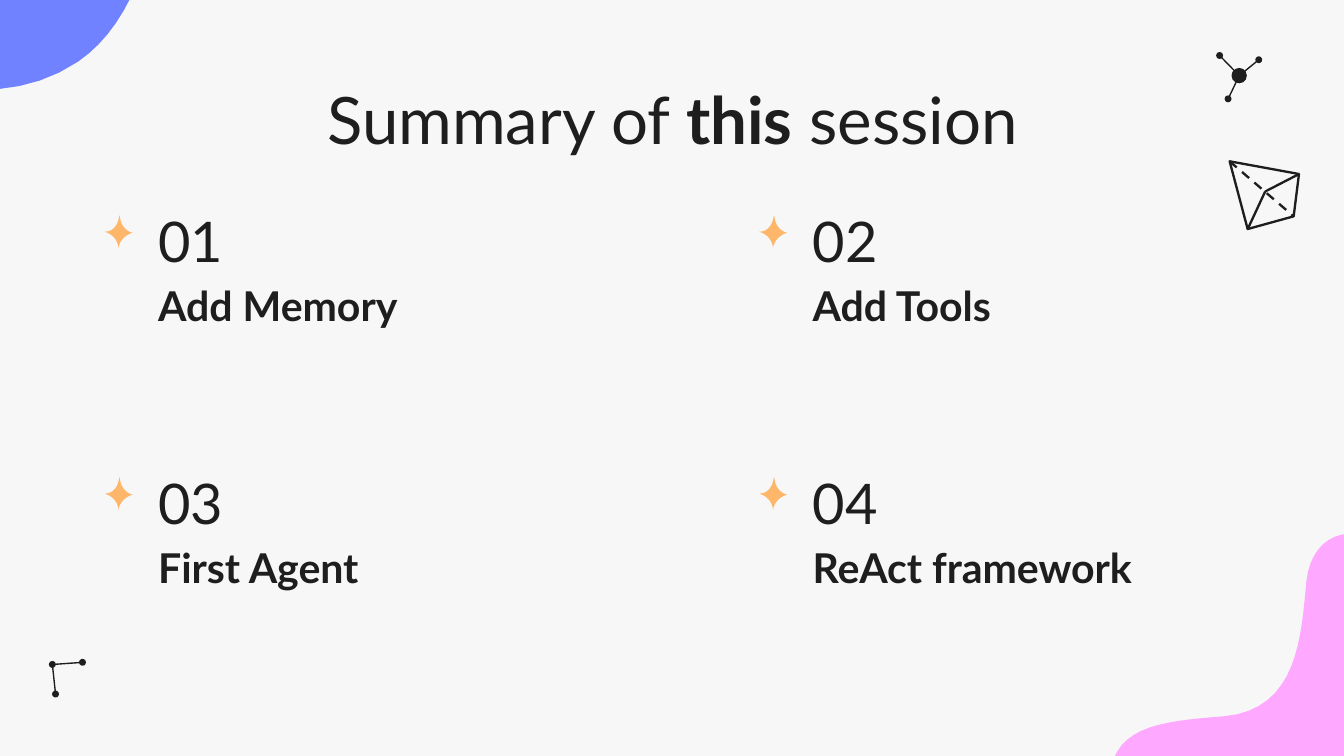
from dataclasses import dataclass

import lxml.etree
import pptx
import pptx.dml.color
import pptx.enum.dml
import pptx.enum.shapes
import pptx.enum.text
import pptx.oxml.ns
import pptx.shapes.autoshape
import pptx.slide
import pptx.text.text
import pptx.util

Cm = pptx.util.Cm
Anchor = pptx.enum.text.MSO_ANCHOR
Point = tuple[float, float]
Curve = tuple[Point, Point, Point]


@dataclass(frozen=True)
class Theme:
    font: str = "Lato"
    background: str = "F7F7F7"
    ink: str = "1F1E1E"
    star: str = "FEB66B"
    pink: str = "FFA8FF"
    blue: str = "7082FF"
    title_size: float = 35
    number_size: float = 30
    topic_size: float = 22


@dataclass(frozen=True)
class Topic:
    number: str
    name: str


@dataclass(frozen=True)
class Node:
    centre: Point
    diameter: float = 0.13


THEME = Theme()
TOPICS = [
    Topic("01", "Add Memory"),
    Topic("02", "Add Tools"),
    Topic("03", "First Agent"),
    Topic("04", "ReAct framework"),
]
COLUMN_STEP, ROW_STEP = 12.37, 4.95

# Outlines: a start point, then Bezier curves (two controls and an end), in cm
BLOB_START: Point = (27.53, 12.98)
BLOB_CURVES: list[Curve] = [
    ((27.48, 11.99), (27.18, 11.07), (26.64, 10.59)),
    ((25.7, 9.75), (24.79, 10.01), (24.69, 11)),
    ((24.59, 12.01), (24.54, 13.41), (23.14, 13.54)),
    ((21.89, 13.64), (20.9, 13.72), (20.98, 14.94)),
    ((20.98, 15.11), (21.01, 15.32), (21.08, 15.54)),
    ((21.51, 17.22), (24.18, 18.29), (26.01, 17.07)),
    ((27.13, 16.31), (27.64, 14.53), BLOB_START),
]
STAR_START: Point = (0.28, 0)
STAR_CURVES: list[Curve] = [
    ((0.3, 0.08), (0.3, 0.15), (0.36, 0.22)),
    ((0.41, 0.28), (0.46, 0.32), (0.53, 0.33)),
    ((0.41, 0.36), (0.28, 0.47), (0.26, 0.62)),
    ((0.25, 0.47), (0.15, 0.36), (0, 0.31)),
    ((0.08, 0.31), (0.15, 0.28), (0.2, 0.21)),
    ((0.25, 0.15), (0.26, 0.08), STAR_START),
]


def rgb(value: str) -> pptx.dml.color.RGBColor:
    return pptx.dml.color.RGBColor.from_string(value)


def trace(start: Point, curves: list[Curve], steps: int = 16) -> list[Point]:
    """Turn a chain of Bezier curves into closely spaced points."""
    points = [start]
    for curve in curves:
        corners = (points[-1], *curve)
        for step in range(1, steps + 1):
            t = step / steps
            weights = ((1 - t) ** 3, 3 * t * (1 - t) ** 2, 3 * t * t * (1 - t), t**3)
            points.append((
                sum(w * x for w, (x, _) in zip(weights, corners)),
                sum(w * y for w, (_, y) in zip(weights, corners)),
            ))
    return points


def add_outline(
    slide: pptx.slide.Slide, points: list[Point], offset: Point = (0, 0)
) -> pptx.shapes.autoshape.Shape:
    places = [(Cm(x + offset[0]), Cm(y + offset[1])) for x, y in points]
    builder = slide.shapes.build_freeform(*places[0])
    builder.add_line_segments(places[1:], close=True)
    outline = builder.convert_to_shape()
    outline.shadow.inherit = False
    return outline


def paint(shape: pptx.shapes.autoshape.Shape, color: str) -> None:
    shape.fill.solid()
    shape.fill.fore_color.rgb = rgb(color)
    shape.line.fill.background()


def add_edge(
    slide: pptx.slide.Slide, start: Point, end: Point, width: float, dashed: bool = False
) -> None:
    edge = slide.shapes.add_connector(
        pptx.enum.shapes.MSO_CONNECTOR.STRAIGHT, *map(Cm, (*start, *end))
    )
    edge.line.color.rgb = rgb(THEME.ink)
    edge.line.width = pptx.util.Pt(width)
    if dashed:
        edge.line.dash_style = pptx.enum.dml.MSO_LINE.SQUARE_DOT
        edge.line.dash_style = pptx.enum.dml.MSO_LINE.DASH
    lxml.etree.SubElement(edge._element.spPr, pptx.oxml.ns.qn("a:effectLst"))


def add_constellation(slide: pptx.slide.Slide, hub: Node, ends: list[Node]) -> None:
    for end in ends:
        add_edge(slide, hub.centre, end.centre, width=0.75)
    for node in (hub, *ends):
        x, y = node.centre
        size = Cm(node.diameter)
        dot = slide.shapes.add_shape(
            pptx.enum.shapes.MSO_SHAPE.OVAL,
            Cm(x - node.diameter / 2), Cm(y - node.diameter / 2), size, size,
        )
        dot.shadow.inherit = False
        paint(dot, THEME.ink)


def add_crystal(slide: pptx.slide.Slide, corners: list[Point], centre: Point) -> None:
    width = 1.25
    rim = add_outline(slide, corners)
    rim.fill.background()
    rim.line.color.rgb = rgb(THEME.ink)
    rim.line.width = pptx.util.Pt(width)
    for corner in (corners[1], corners[3]):
        add_edge(slide, centre, corner, width)
    add_edge(slide, corners[0], corners[2], width, dashed=True)


def set_frame(frame: pptx.text.text.TextFrame, anchor: Anchor) -> None:
    frame.word_wrap = True
    frame.auto_size = pptx.enum.text.MSO_AUTO_SIZE.NONE
    frame.vertical_anchor = anchor
    frame.margin_left = frame.margin_right = Cm(0.25)
    frame.margin_top = frame.margin_bottom = Cm(0.25)


def set_font(paragraph: pptx.text.text._Paragraph, size: float) -> None:
    paragraph.font.name = THEME.font
    paragraph.font.size = pptx.util.Pt(size)
    paragraph.font.color.rgb = rgb(THEME.ink)


def add_label(
    slide: pptx.slide.Slide, text: str, box: tuple[float, float, float, float],
    size: float, bold: bool = False,
) -> None:
    frame = slide.shapes.add_textbox(*map(Cm, box)).text_frame
    set_frame(frame, Anchor.BOTTOM)
    paragraph = frame.paragraphs[0]
    paragraph.text = text
    set_font(paragraph, size)
    paragraph.font.bold = bold


def add_title(slide: pptx.slide.Slide) -> None:
    title = slide.shapes.title
    title.left, title.top, title.width, title.height = map(Cm, (2.01, 1.24, 21.41, 1.6))
    set_frame(title.text_frame, Anchor.TOP)
    heading = title.text_frame.paragraphs[0]
    heading.alignment = pptx.enum.text.PP_ALIGN.CENTER
    set_font(heading, THEME.title_size)
    for words, bold in (("Summary of ", False), ("this", True), (" session", False)):
        run = heading.add_run()
        run.text = words
        run.font.bold = bold


def add_topic(slide: pptx.slide.Slide, topic: Topic, dx: float, dy: float) -> None:
    add_label(slide, topic.number, (2.74 + dx, 4.19 + dy, 2.03, 1.24), THEME.number_size)
    add_label(slide, topic.name, (2.74 + dx, 5.13 + dy, 8.31, 1.35), THEME.topic_size, True)
    star = add_outline(slide, trace(STAR_START, STAR_CURVES), (1.98 + dx, 4.07 + dy))
    paint(star, THEME.star)


def main() -> None:
    deck = pptx.Presentation()
    deck.slide_width, deck.slide_height = Cm(25.4), Cm(14.29)
    slide = deck.slides.add_slide(deck.slide_layouts.get_by_name("Title Only"))
    slide.background.fill.solid()
    slide.background.fill.fore_color.rgb = rgb(THEME.background)

    # Corner blobs: one outline, moved
    for color, offset in ((THEME.pink, (0, 0)), (THEME.blue, (-24.54, -15.9))):
        paint(add_outline(slide, trace(BLOB_START, BLOB_CURVES), offset), color)

    # Line ornaments
    add_constellation(slide, Node((23.42, 1.43), 0.29),
                      [Node((23.05, 1.05)), Node((23.79, 1.13)), Node((23.21, 1.87))])
    add_constellation(slide, Node((0.99, 12.56)), [Node((1.05, 13.12)), Node((1.56, 12.52))])
    add_crystal(slide, [(23.24, 3.05), (24.55, 3.29), (24.45, 4.09), (23.58, 4.33)], (23.91, 3.62))

    # Title and the two-by-two grid of topics
    add_title(slide)
    for index, topic in enumerate(TOPICS):
        row, column = divmod(index, 2)
        add_topic(slide, topic, column * COLUMN_STEP, row * ROW_STEP)

    deck.save("out.pptx")


if __name__ == "__main__":
    main()
